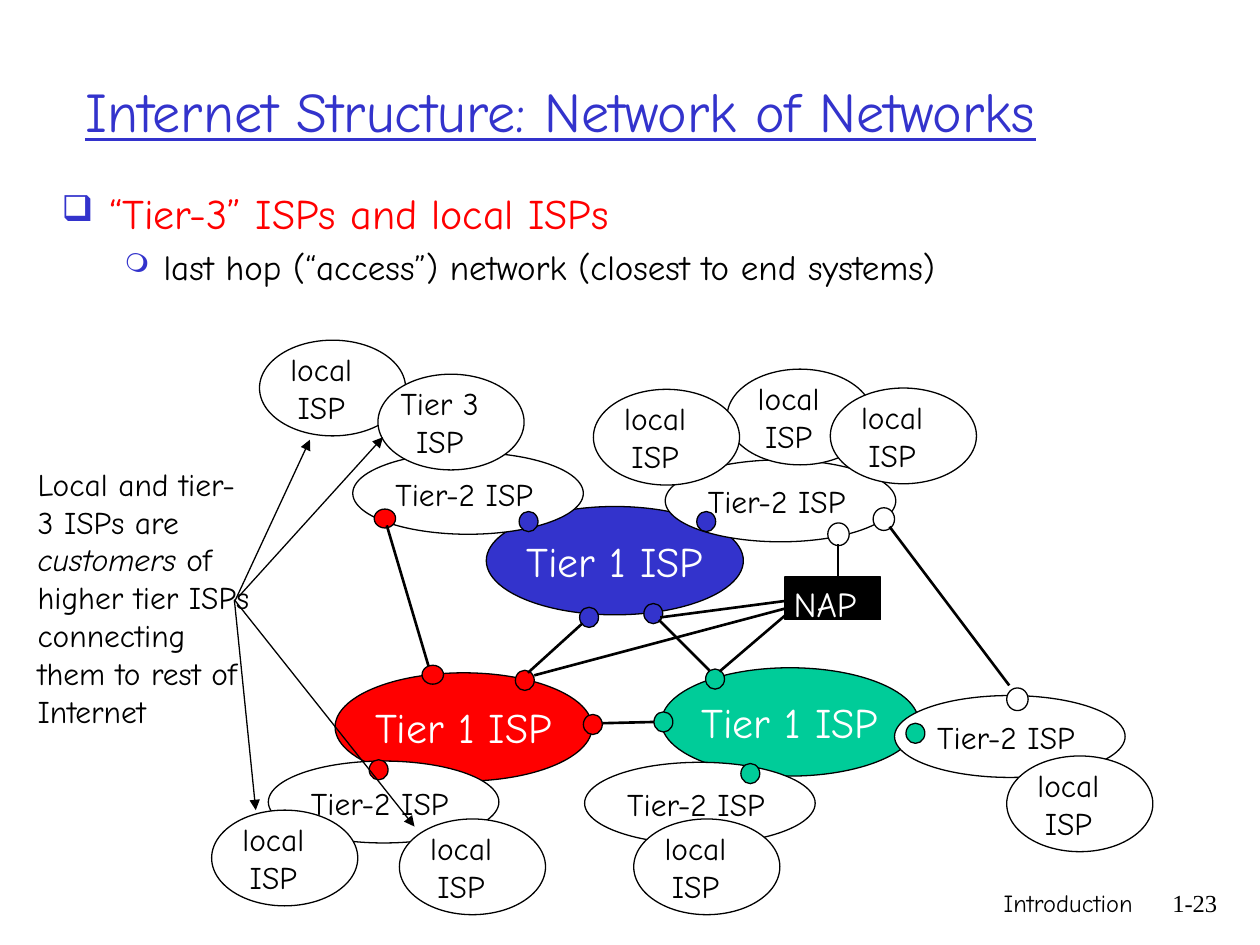
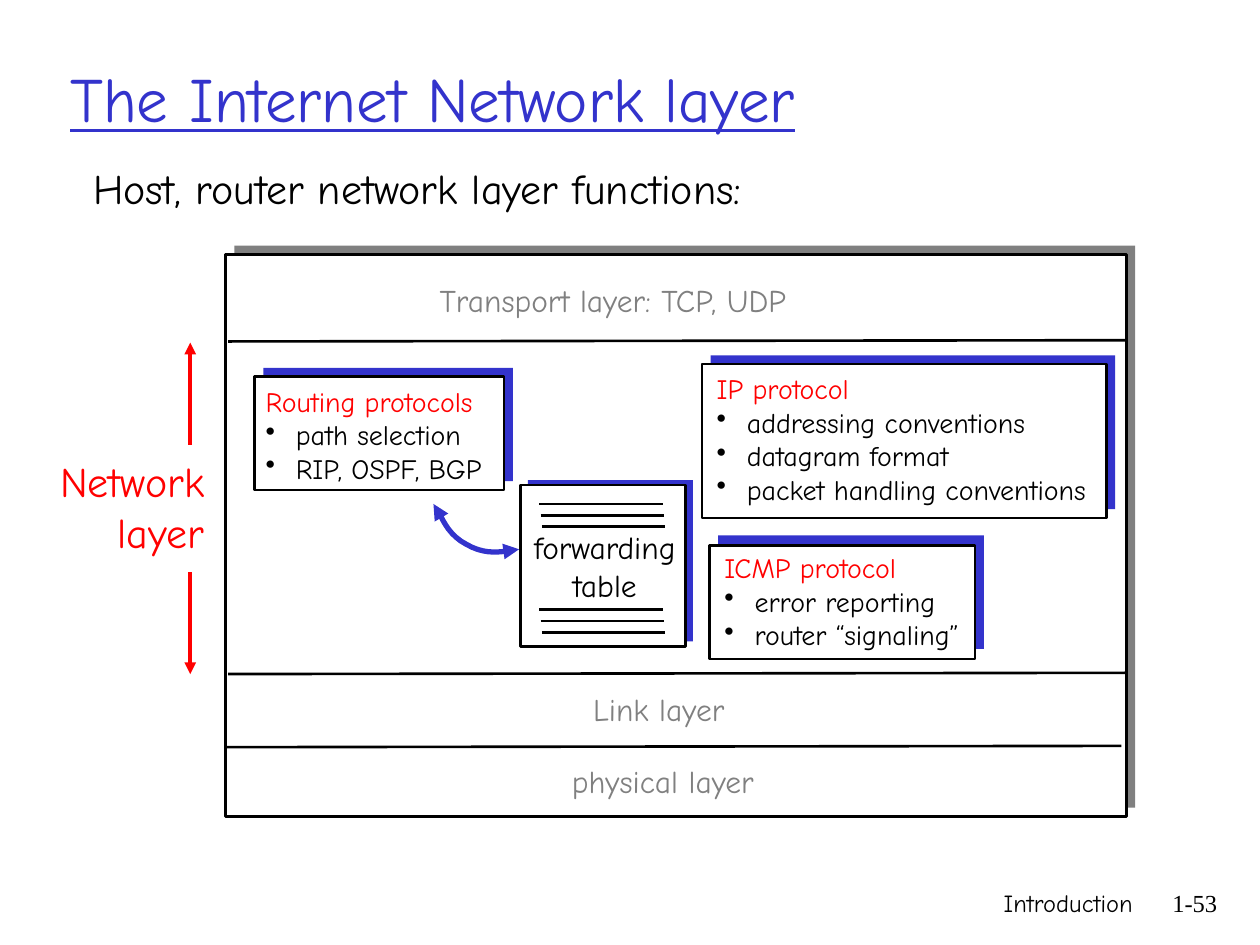
from dataclasses import dataclass
from typing import Any, NamedTuple

from lxml import etree
from pptx import Presentation, util as u
from pptx.dml.color import RGBColor
from pptx.enum import shapes, text
from pptx.oxml.ns import qn


@dataclass(frozen=True)
class Theme:
    blue: str = "3333CC"
    red: str = "FF0000"
    green: str = "00CC99"
    gray: str = "808080"
    black: str = "000000"
    white: str = "FFFFFF"
    font: str = "Comic Neue"
    serif: str = "Times New Roman"
    head: int = 24
    sub: int = 20
    label: int = 18
    note: int = 16
    foot: int = 14
    thin: float = 0.75
    bold: float = 1.5


T = Theme()
ALIGN = {"l": text.PP_ALIGN.LEFT, "c": text.PP_ALIGN.CENTER, "r": text.PP_ALIGN.RIGHT}
OVAL, RECT = shapes.MSO_SHAPE.OVAL, shapes.MSO_SHAPE.RECTANGLE


class Box(NamedTuple):
    x: float
    y: float
    w: float
    h: float

    def move(self, dx: float, dy: float) -> "Box":
        return Box(self.x + dx, self.y + dy, self.w, self.h)


class Mark(NamedTuple):
    char: str
    color: str
    scale: int = 100


@dataclass(frozen=True)
class Para:
    """One paragraph; parts between asterisks are italic."""
    words: str
    size: int = T.label
    color: str = T.black
    align: str = "l"
    font: str = T.font
    line: bool = False
    mark: Mark | None = None
    left: float = 0
    hang: float = 0
    gap: float = 0


class Link(NamedTuple):
    x1: float
    y1: float
    x2: float
    y2: float


class Tier(NamedTuple):
    x: float
    y: float
    color: str
    dot: tuple[float, float]


class Panel(NamedTuple):
    box: Box
    shift: tuple[float, float]
    note: Box
    head: str
    items: tuple[str, ...]


# Basic tools; places are in inches
def cm(inch: float) -> u.Cm:
    return u.Cm(inch * 2.54)


def rgb(code: str) -> RGBColor:
    return RGBColor.from_string(code)


def setup(obj: Any, form: dict[str, Any]) -> None:
    for key, val in form.items():
        setattr(obj, key, val)


def write(frame: Any, paras: list[Para], wrap: bool = True, grow: bool = False,
          mid: bool = False) -> None:
    setup(frame, {
        "word_wrap": wrap,
        "auto_size": text.MSO_AUTO_SIZE.SHAPE_TO_FIT_TEXT if grow else text.MSO_AUTO_SIZE.NONE,
        "vertical_anchor": text.MSO_ANCHOR.MIDDLE if mid else text.MSO_ANCHOR.TOP})
    for i, para in enumerate(paras):
        row = frame.add_paragraph() if i else frame.paragraphs[0]
        setup(row, {"alignment": ALIGN[para.align], "space_before": u.Pt(para.gap)})
        for j, part in enumerate(para.words.split("*")):
            run = row.add_run()
            run.text = part
            setup(run.font, {"name": para.font, "size": u.Pt(para.size),
                             "underline": para.line, "italic": j % 2 == 1})
            run.font.color.rgb = rgb(para.color)
        prop = row._p.get_or_add_pPr()
        prop.set("marL", str(cm(para.left)))
        prop.set("indent", str(cm(-para.hang)))
        if para.mark:
            tint = etree.SubElement(prop, qn("a:buClr"))
            etree.SubElement(tint, qn("a:srgbClr"), val=para.mark.color)
            etree.SubElement(prop, qn("a:buSzPct"), val=str(para.mark.scale * 1000))
            etree.SubElement(prop, qn("a:buChar"), char=para.mark.char)


def label(slide: Any, box: Box, paras: list[Para], **form: bool) -> None:
    write(slide.shapes.add_textbox(*map(cm, box)).text_frame, paras, **form)


def stroke(shape: Any, color: str, width: float) -> None:
    shape.line.color.rgb = rgb(color)
    shape.line.width = u.Pt(width)


def shape(slide: Any, kind: Any, box: Box, fill: str = T.white, width: float = T.thin) -> Any:
    item = slide.shapes.add_shape(kind, *map(cm, box))
    item.shadow.inherit = False
    item.fill.solid()
    item.fill.fore_color.rgb = rgb(fill)
    if width:
        stroke(item, T.black, width)
    else:
        item.line.fill.background()
    return item


def tips(item: Any, *ends: str) -> None:
    line = item.element.spPr.find(qn("a:ln"))
    for end in ends:
        etree.SubElement(line, qn(f"a:{end}"), type="triangle")


def link(slide: Any, way: Link, width: float = T.bold, color: str = T.black,
         tip: bool = False) -> None:
    item = slide.shapes.add_connector(shapes.MSO_CONNECTOR.STRAIGHT, *map(cm, way))
    stroke(item, color, width)
    if tip:
        tips(item, "tailEnd")
    etree.SubElement(item.element.spPr, qn("a:effectLst"))


def start(deck: Any, page: str, title: str, box: Box, size: int) -> Any:
    """Blank slide with the shared footer and title."""
    slide = deck.slides.add_slide(deck.slide_layouts[6])
    label(slide, Box(5.92, 7, 3.17, 0.5), [Para("Introduction", T.foot, align="r")])
    label(slide, Box(9.08, 7, 0.68, 0.5), [Para(page, T.foot, align="r", font=T.serif)])
    label(slide, box, [Para(title, size, T.blue, line=True)], mid=True)
    return slide


# Slide 1: tiers of providers
def dot(slide: Any, x: float, y: float, color: str, w: float = 0.15, h: float = 0.16) -> None:
    shape(slide, OVAL, Box(x, y, w, h), color)


def local(slide: Any, x: float, y: float, name: str = "local", w: float = 0.73) -> None:
    shape(slide, OVAL, Box(x, y, 1.16, 0.76))
    label(slide, Box(x + 0.49 - w / 2, y + 0.03, w, 0.7),
          [Para(name, align="c"), Para("ISP", align="c")], wrap=False, grow=True)


def tiers(deck: Any) -> None:
    slide = start(deck, "1-23", "Internet Structure: Network of Networks",
                  Box(0.58, 0.25, 9.18, 1.25), 32)
    label(slide, Box(0.39, 1.44, 9.23, 1), [
        Para("“Tier-3” ISPs and local ISPs", T.head, T.red,
             mark=Mark("❑", T.blue, 85), left=0.38, hang=0.38, gap=4.8),
        Para("last hop (“access”) network (closest to end systems)", T.sub,
             mark=Mark("❍", T.blue, 75), left=0.81, hang=0.31, gap=4)])

    # Core networks and their ports
    for x, y, color in ((2.66, 5.34, T.red), (3.86, 4.02, T.blue), (5.25, 5.3, T.green)):
        core = shape(slide, OVAL, Box(x, y, 2.04, 0.86), color)
        write(core.text_frame, [Para("Tier 1 ISP", T.head, T.white, "c")], wrap=False, mid=True)
    for x, y, color in ((5.6, 5.31, T.green), (5.11, 4.79, T.blue), (4.6, 4.82, T.blue),
                        (4.09, 5.32, T.red), (4.63, 5.67, T.red), (5.19, 5.65, T.green)):
        dot(slide, x, y, color)
    for way in (Link(4.78, 5.74, 5.19, 5.73), Link(5.23, 4.92, 5.63, 5.32),
                Link(4.19, 5.34, 4.62, 4.95)):
        link(slide, way)

    # Access point
    shape(slide, RECT, Box(6.23, 4.58, 0.76, 0.34), T.black)
    label(slide, Box(6.2, 4.57, 0.77, 0.43), [Para("NAP", T.sub, T.white)], wrap=False, grow=True)
    for way in (Link(6.26, 4.86, 5.71, 5.33), Link(6.23, 4.77, 5.24, 4.9),
                Link(6.23, 4.83, 4.24, 5.36)):
        link(slide, way)

    # Second tier
    for tier in (Tier(5.28, 3.65, T.blue, (5.53, 4.06)), Tier(2.8, 3.59, T.blue, (4.12, 4.06)),
                 Tier(2.13, 6.04, T.red, (2.93, 6.03)), Tier(4.64, 6.05, T.green, (5.88, 6.06)),
                 Tier(7.1, 5.52, T.green, (7.19, 5.74))):
        shape(slide, OVAL, Box(tier.x, tier.y, 1.83, 0.65))
        label(slide, Box(tier.x + 0.24, tier.y + 0.13, 1.47, 0.4), [Para("Tier-2 ISP")],
              wrap=False, grow=True)
        dot(slide, *tier.dot, tier.color)
    dot(slide, 2.97, 4.04, T.red, 0.17, 0.15)
    link(slide, Link(3.07, 4.17, 3.42, 5.35))
    dot(slide, 3.35, 5.28, T.red, 0.17, 0.15)
    for x, y in ((6.93, 4.03), (7.99, 5.46), (6.57, 4.15)):
        dot(slide, x, y, T.white, 0.17, 0.18)
    link(slide, Link(7.06, 4.18, 8.01, 5.44))
    link(slide, Link(6.65, 4.32, 6.65, 4.58), T.thin)

    # Local and third tier
    for x, y in ((5.77, 2.93), (4.71, 3.09), (6.59, 3.08), (1.68, 6.43), (2.06, 2.7)):
        local(slide, x, y)
    local(slide, 3, 2.97, "Tier 3", 0.93)
    for x, y in ((3.17, 6.5), (5.03, 6.5), (7.99, 6)):
        local(slide, x, y)

    # Side note
    label(slide, Box(0.2, 3.64, 1.97, 2.5), [
        Para("Local and tier- 3 ISPs are *customers* of"), Para("higher tier ISPs"),
        Para("connecting them to rest of Internet")], grow=True)
    for way in (Link(1.86, 4.78, 2.46, 3.49), Link(1.89, 4.74, 3.04, 3.47),
                Link(1.86, 4.76, 2.03, 6.43), Link(1.86, 4.76, 3.29, 6.56)):
        link(slide, way, T.thin, tip=True)


# Slide 2: layer stack
def plate(slide: Any, box: Box, shift: tuple[float, float], back: str = T.blue) -> None:
    shape(slide, RECT, box.move(*shift), back, 0)
    shape(slide, RECT, box, width=T.bold)


def curve(slide: Any, knots: list[tuple[float, float]], steps: int = 12) -> None:
    """Chain of cubic arcs with a tip at both ends."""
    dots = [knots[0]]
    for i in range(0, len(knots) - 1, 3):
        a, b, c, d = knots[i:i + 4]
        for t in (n / steps for n in range(1, steps + 1)):
            s = 1 - t
            dots.append(tuple(s**3 * p + 3 * s * s * t * q + 3 * s * t * t * r + t**3 * v
                              for p, q, r, v in zip(a, b, c, d)))
    first, *rest = [(cm(x), cm(y)) for x, y in dots]
    pen = slide.shapes.build_freeform(*first)
    pen.add_line_segments(rest, close=False)
    item = pen.convert_to_shape()
    item.shadow.inherit = False
    item.fill.background()
    stroke(item, T.blue, 3)
    tips(item, "headEnd", "tailEnd")


def layers(deck: Any) -> None:
    slide = start(deck, "1-53", "The Internet Network layer", Box(0.46, 0.15, 8.5, 1.25), 36)
    label(slide, Box(0.64, 1.24, 8.24, 0.48), [
        Para("Host, router network layer functions:", T.head, left=0.38, hang=0.38, gap=4.8)])

    # Stack frame
    plate(slide, Box(1.79, 2.02, 7.15, 4.46), (0.07, -0.07), T.gray)
    for x1, x2, y in ((1.81, 8.95, 2.71), (1.81, 8.95, 5.35), (1.78, 8.9, 5.93)):
        link(slide, Link(x1, y, x2, y - 0.01))
    for x, y, w, name in ((3.39, 2.18, 3.27, "Transport layer: TCP, UDP"),
                          (4.61, 5.43, 1.33, "Link layer"), (4.44, 6, 1.78, "physical layer")):
        label(slide, Box(x, y, w, 0.4), [Para(name, color=T.gray)], wrap=False, grow=True)

    # Forwarding table
    plate(slide, Box(4.13, 3.85, 1.31, 1.28), (0.06, -0.04))
    label(slide, Box(4.06, 4.14, 1.48, 0.7),
          [Para("forwarding", align="c"), Para("table", align="c")], wrap=False, grow=True)
    for top in (4, 4.84):
        for i in range(3):
            x, y = 4.28 + i * 0.01, top + i * 0.09
            link(slide, Link(x, y, x + 0.98, y))

    # Protocol panels
    for panel in (
            Panel(Box(2.02, 2.99, 1.98, 0.9), (0.07, -0.07), Box(2.01, 3, 2, 0.9),
                  "Routing protocols", ("path selection", "RIP, OSPF, BGP")),
            Panel(Box(5.57, 2.89, 3.21, 1.22), (0.07, -0.07), Box(5.59, 2.9, 3.16, 1.17),
                  "IP protocol", ("addressing conventions", "datagram format",
                                  "packet handling conventions")),
            Panel(Box(5.63, 4.33, 2.11, 0.9), (0.07, -0.08), Box(5.65, 4.32, 2.08, 0.9),
                  "ICMP protocol", ("error reporting", "router “signaling”"))):
        plate(slide, panel.box, panel.shift)
        rows = [Para(item, T.note, mark=Mark("•", T.black), left=0.24, hang=0.24)
                for item in panel.items]
        label(slide, panel.note, [Para(panel.head, T.note, T.red), *rows], wrap=False, grow=True)
    curve(slide, [(3.44, 4), (3.49, 4.03), (3.51, 4.22), (3.7, 4.32),
                  (3.89, 4.43), (4.04, 4.36), (4.12, 4.36)])

    # Layer span
    label(slide, Box(0.17, 3.57, 1.55, 0.9),
          [Para(word, T.head, T.red, "r") for word in ("Network", "layer")],
          wrap=False, grow=True)
    for y1, y2 in ((3.53, 2.72), (4.54, 5.35)):
        link(slide, Link(1.51, y1, 1.51, y2), 2.25, T.red, tip=True)


def main() -> None:
    deck = Presentation()
    setup(deck, {"slide_width": cm(10), "slide_height": cm(7.5)})
    tiers(deck)
    layers(deck)
    deck.save("out.pptx")


if __name__ == "__main__":
    main()
